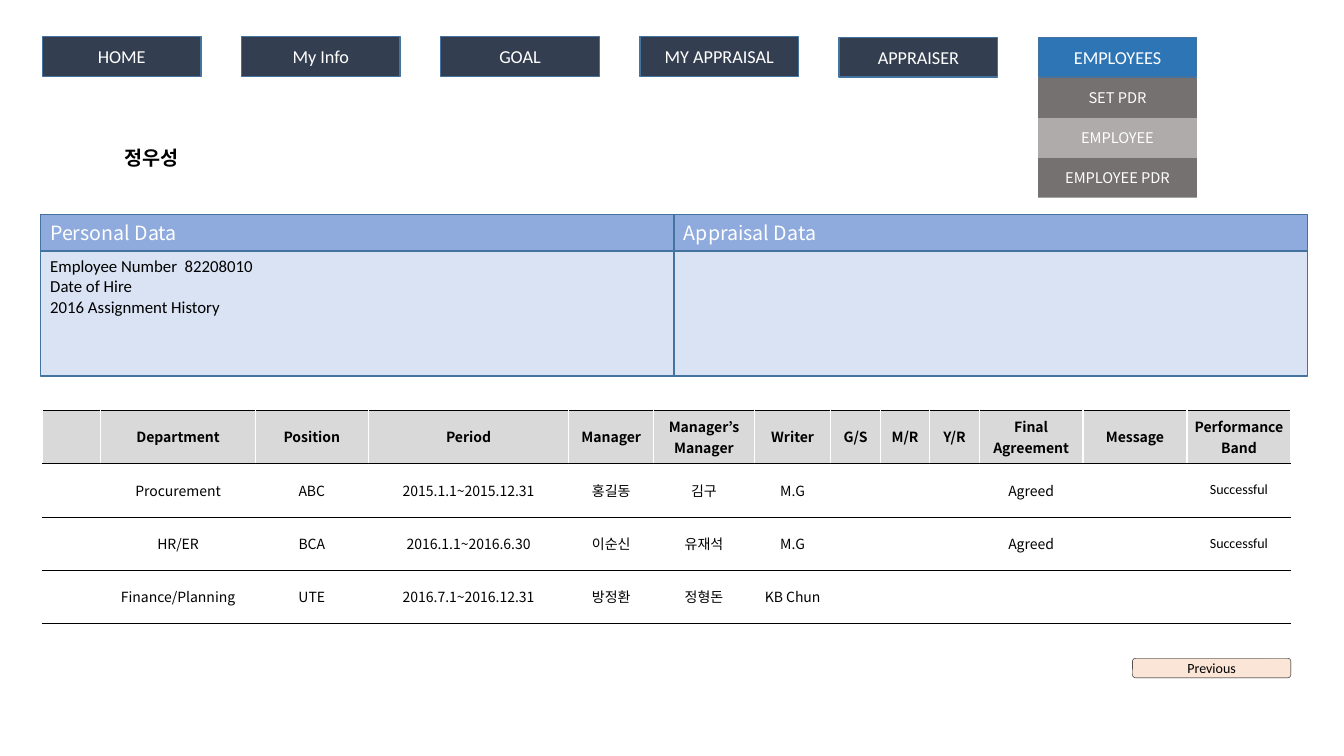
"""Build the employee appraisal history slide."""
from dataclasses import dataclass

import lxml.etree
import pptx
import pptx.dml.color
import pptx.enum.shapes
import pptx.enum.text
import pptx.oxml.ns
import pptx.presentation
import pptx.shapes.autoshape
import pptx.slide
import pptx.table
import pptx.text.text
import pptx.util

RGBColor = pptx.dml.color.RGBColor
Align = pptx.enum.text.PP_ALIGN
Anchor = pptx.enum.text.MSO_ANCHOR
Shape = pptx.enum.shapes.MSO_SHAPE
Pt = pptx.util.Pt

WIDTH = pptx.util.Inches(13.33)
HEIGHT = pptx.util.Inches(7.5)

WHITE = RGBColor(0xFF, 0xFF, 0xFF)
BLACK = RGBColor(0x00, 0x00, 0x00)
NAVY = RGBColor(0x33, 0x3F, 0x50)
BLUE = RGBColor(0x2E, 0x75, 0xB6)
EDGE = RGBColor(0x43, 0x73, 0x9E)
SKY = RGBColor(0x8F, 0xAA, 0xDC)
PALE = RGBColor(0xDA, 0xE3, 0xF3)
GRAY = RGBColor(0x76, 0x71, 0x71)
SILVER = RGBColor(0xAF, 0xAB, 0xAB)
HEAD = RGBColor(0xD9, 0xD9, 0xD9)
PEACH = RGBColor(0xFB, 0xE5, 0xD6)

LATIN = "Calibri"
NOTO = "Noto Sans CJK KR"

LEFT = 3.15
STEP = 14.82
WIDE = 11.8
HIGH = 5.25
MENU_TOP = 10.35
MENU_STEP = 5.28
PANEL_STEP = 47.15
ROW = 7.05

TABS = ("HOME", "My Info", "GOAL", "MY APPRAISAL", "APPRAISER", "EMPLOYEES")
MENU = (("SET PDR", GRAY), ("EMPLOYEE", SILVER), ("EMPLOYEE PDR", GRAY))
PANELS = (
    ("Personal Data", ("Employee Number  82208010", "Date of Hire", "2016 Assignment History")),
    ("Appraisal Data", ()),
)
COLUMNS = (4.35, 11.5, 8.4, 14.93, 6.3, 7.5, 5.7, 3.68, 3.68, 3.68, 7.73, 7.73, 7.73)
CELLS = (
    ("", "Department", "Position", "Period", "Manager", "Manager’s Manager", "Writer",
     "G/S", "M/R", "Y/R", "Final\nAgreement", "Message", "Performance Band"),
    ("", "Procurement", "ABC", "2015.1.1~2015.12.31", "홍길동", "김구", "M.G",
     "", "", "", "Agreed", "", "Successful"),
    ("", "HR/ER", "BCA", "2016.1.1~2016.6.30", "이순신", "유재석", "M.G",
     "", "", "", "Agreed", "", "Successful"),
    ("", "Finance/Planning", "UTE", "2016.7.1~2016.12.31", "방정환", "정형돈", "KB Chun",
     "", "", "", "", "", ""),
)


@dataclass(frozen=True)
class Style:
    """Look of a piece of text."""
    size: float
    font: str = NOTO
    ink: RGBColor = WHITE
    bold: bool = False
    align: Align = Align.CENTER


@dataclass(frozen=True)
class Box:
    """Filled box, placed in percent of the slide."""
    left: float
    top: float
    wide: float
    high: float
    fill: RGBColor
    style: Style
    lines: tuple[str, ...] = ()
    edge: RGBColor | None = EDGE
    weight: float = 1
    anchor: Anchor = Anchor.MIDDLE
    form: Shape = Shape.RECTANGLE
    tight: bool = False


def across(share: float) -> int:
    """Turn percent of the slide's width into a length."""
    return round(WIDTH * share / 100)


def down(share: float) -> int:
    """Turn percent of the slide's height into a length."""
    return round(HEIGHT * share / 100)


def write(frame: pptx.text.text.TextFrame, lines: tuple[str, ...], style: Style) -> None:
    """Fill a text frame with one run for each line."""
    frame.word_wrap = True
    for index, line in enumerate(lines):
        para = frame.add_paragraph() if index else frame.paragraphs[0]
        para.alignment = style.align
        run = para.add_run()
        run.text = line
        run.font.size = Pt(style.size)
        run.font.bold = style.bold
        run.font.color.rgb = style.ink
        run.font.name = style.font
        east = lxml.etree.SubElement(run.font._element, pptx.oxml.ns.qn("a:ea"))
        east.set("typeface", style.font)


def draw(slide: pptx.slide.Slide, box: Box) -> None:
    """Draw one box with its text."""
    shape = slide.shapes.add_shape(
        box.form, across(box.left), down(box.top), across(box.wide), down(box.high))
    shape.shadow.inherit = False
    shape.fill.solid()
    shape.fill.fore_color.rgb = box.fill
    if box.edge is None:
        shape.line.fill.background()
    else:
        shape.line.color.rgb = box.edge
        shape.line.width = Pt(box.weight)
    frame = shape.text_frame
    frame.vertical_anchor = box.anchor
    if box.tight:
        frame.margin_left = frame.margin_right = across(0.15)
        frame.margin_top = frame.margin_bottom = 0
    write(frame, box.lines, box.style)


def rule(cell: pptx.table._Cell, side: str, ink: RGBColor | None, weight: float) -> None:
    """Set one border of a cell."""
    name = pptx.oxml.ns.qn
    line = lxml.etree.Element(name(f"a:{side}"), w=str(Pt(weight)))
    if ink is None:
        lxml.etree.SubElement(line, name("a:noFill"))
    else:
        fill = lxml.etree.SubElement(line, name("a:solidFill"))
        lxml.etree.SubElement(fill, name("a:srgbClr"), val=str(ink))
    props = cell._tc.get_or_add_tcPr()
    props.insert(len(props.findall("*")) - 1, line)


def grid(slide: pptx.slide.Slide) -> None:
    """Draw the table of past appraisals."""
    table = slide.shapes.add_table(
        len(CELLS), len(COLUMNS), across(LEFT), down(54.27),
        across(sum(COLUMNS)), down(ROW * len(CELLS))).table
    table.first_row = table.horz_banding = False
    for column, share in zip(table.columns, COLUMNS):
        column.width = across(share)
    for r, texts in enumerate(CELLS):
        table.rows[r].height = down(ROW)
        top = r == 0
        for c, text in enumerate(texts):
            cell = table.cell(r, c)
            cell.vertical_anchor = Anchor.MIDDLE
            cell.margin_left = cell.margin_right = across(0.15)
            if top:
                cell.fill.solid()
                cell.fill.fore_color.rgb = HEAD
            else:
                cell.fill.background()
            for side in ("lnL", "lnR"):
                rule(cell, side, WHITE if top else None, 1)
            for side in ("lnT", "lnB"):
                rule(cell, side, BLACK, 0.25)
            if text:
                font = LATIN if text == "Successful" else NOTO
                write(cell.text_frame, tuple(text.split("\n")), Style(10, font, BLACK, top))


def main() -> None:
    """Build and save the slide."""
    deck = pptx.Presentation()
    deck.slide_width, deck.slide_height = WIDTH, HEIGHT
    slide = deck.slides.add_slide(deck.slide_layouts[6])
    last = len(TABS) - 1

    for i, text in enumerate(TABS):
        draw(slide, Box(LEFT + i * STEP, 4.95 if i >= last - 1 else 4.85, WIDE, HIGH,
                        BLUE if i == last else NAVY, Style(13, LATIN), (text,)))
    for i, (text, fill) in enumerate(MENU):
        draw(slide, Box(LEFT + last * STEP, MENU_TOP + i * MENU_STEP, WIDE, HIGH,
                        fill, Style(10.5), (text,), edge=None))

    name = slide.shapes.add_textbox(across(7.58), down(18.67), across(7.35), down(4.53))
    write(name.text_frame, ("정우성",), Style(14, ink=BLACK, bold=True))

    for i, (title, lines) in enumerate(PANELS):
        left = 3 + i * PANEL_STEP
        draw(slide, Box(left, 28.4, PANEL_STEP, 4.8, SKY,
                        Style(14, align=Align.LEFT), (title,)))
        draw(slide, Box(left, 33.2, PANEL_STEP, 16.53, PALE,
                        Style(12, LATIN, BLACK, align=Align.LEFT), lines, anchor=Anchor.TOP))

    grid(slide)
    draw(slide, Box(84.25, 87.07, WIDE, 2.6, PEACH, Style(10, LATIN, BLACK), ("Previous",),
                    BLACK, 0.25, form=Shape.ROUNDED_RECTANGLE, tight=True))
    deck.save("out.pptx")


if __name__ == "__main__":
    main()
